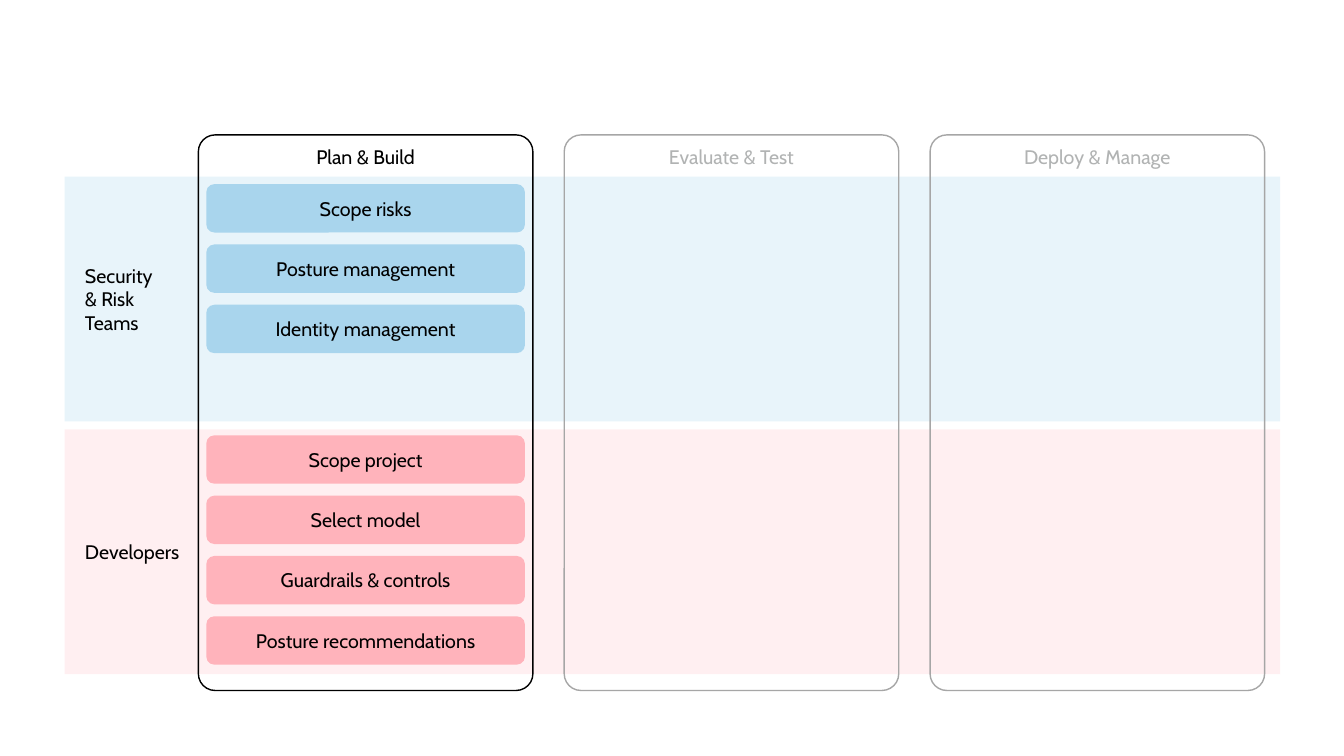
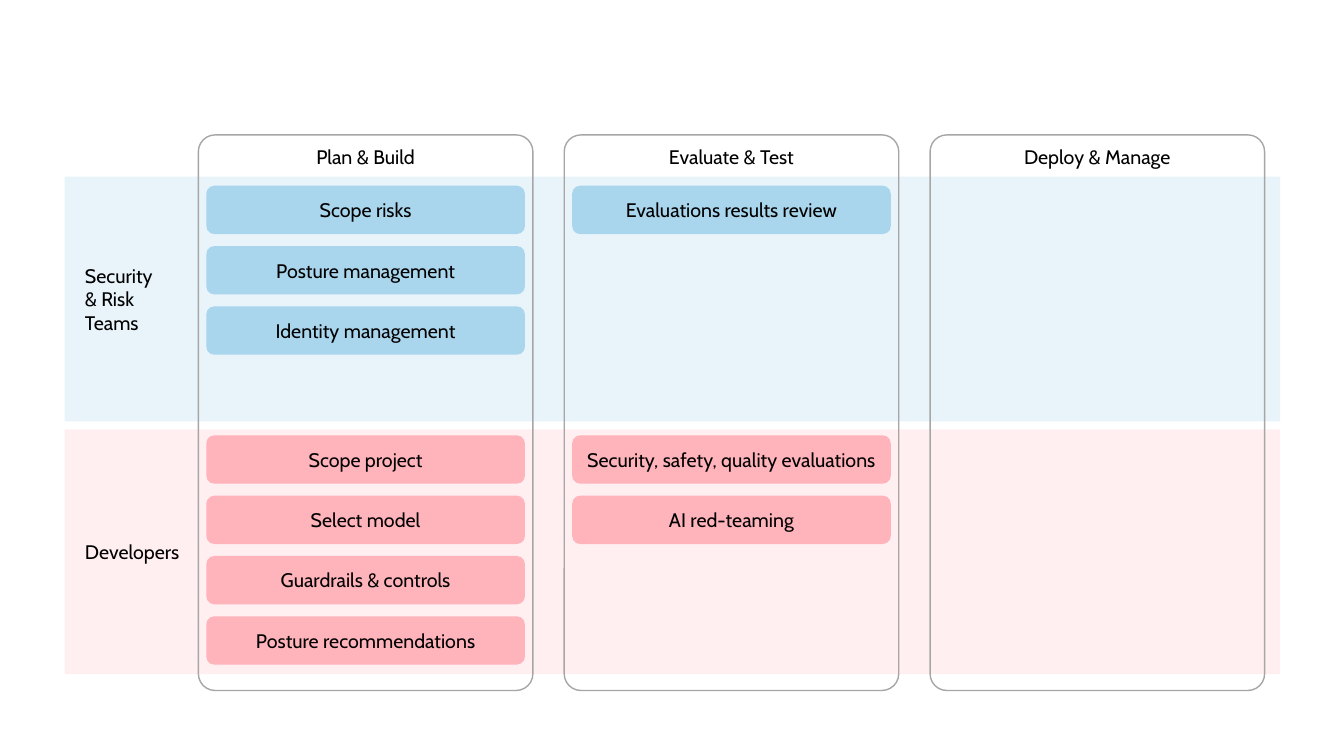
from lxml import etree
from pptx import Presentation
from pptx.dml.color import RGBColor
from pptx.enum.shapes import MSO_SHAPE
from pptx.enum.text import MSO_ANCHOR, MSO_AUTO_SIZE, PP_ALIGN
from pptx.oxml.ns import qn
from pptx.util import Cm, Pt

# Colours
BLACK = RGBColor(0x00, 0x00, 0x00)
OUTLINE_GREY = RGBColor(0xA6, 0xA6, 0xA6)
MUTED_GREY = RGBColor(0xB1, 0xB3, 0xB3)
SECURITY_BAND = RGBColor(0x8D, 0xC8, 0xE8)
SECURITY_CARD = RGBColor(0xA9, 0xD5, 0xED)
DEVELOPER_PINK = RGBColor(0xFF, 0xB3, 0xBB)

# Grid, in centimetres
BAND_LEFT, BAND_WIDTH, BAND_HEIGHT = 1.63, 30.63, 6.17
SECURITY_TOP, DEVELOPER_TOP = 4.45, 10.82
PHASE_LEFT, PHASE_TOP, PHASE_PITCH = 5.0, 3.4, 9.22
PHASE_WIDTH, PHASE_HEIGHT = 8.43, 14.0
CARD_INSET, CARD_HEIGHT, CARD_PITCH = 0.2, 1.22, 1.52
DEVELOPER_CARDS_TOP = 10.97

# Text formats
FONT = {"name": "Cabin", "size": Pt(14), "bold": False}
BAND_FRAME = {
    "margin_left": Cm(0.51), "margin_right": Cm(0.25),
    "vertical_anchor": MSO_ANCHOR.MIDDLE,
}
PHASE_FRAME = {"vertical_anchor": MSO_ANCHOR.TOP}
CARD_FRAME = {
    "margin_left": Cm(0.13), "margin_right": Cm(0.13),
    "vertical_anchor": MSO_ANCHOR.MIDDLE,
}

# Content
PHASES = ["Plan & Build", "Evaluate & Test", "Deploy & Manage"]
SECURITY_TEAM = "Security\n& Risk\nTeams"
DEVELOPER_TEAM = "Developers"
PLAN_SECURITY = ["Scope risks", "Posture management", "Identity management"]
PLAN_DEVELOPER = ["Scope project", "Select model", "Guardrails & controls",
                  "Posture recommendations"]
EVALUATE_SECURITY = ["Evaluations results review"]
EVALUATE_DEVELOPER = ["Security, safety, quality evaluations",
                      "AI red-teaming"]


def apply_format(target, values):
    for attribute, value in values.items():
        setattr(target, attribute, value)


def write_text(shape, text, frame_format, alignment, color=BLACK):
    frame = shape.text_frame
    frame.text = text
    frame.word_wrap = True
    frame.auto_size = MSO_AUTO_SIZE.NONE
    apply_format(frame, frame_format)
    for paragraph in frame.paragraphs:
        paragraph.alignment = alignment
        for run in paragraph.runs:
            apply_format(run.font, FONT)
            run.font.color.rgb = color


def add_box(slide, kind, left, top, width, height):
    box = slide.shapes.add_shape(
        kind, Cm(left), Cm(top), Cm(width), Cm(height))
    box.shadow.inherit = False
    return box


def style_band(band, team, color):
    """Give a team band its 20 % tint and its label."""
    band.fill.solid()
    band.fill.fore_color.rgb = color
    tint = band.fill._xPr.find(qn("a:solidFill"))[0]
    etree.SubElement(tint, qn("a:alpha"), val="20000")
    band.line.fill.background()
    write_text(band, team, BAND_FRAME, PP_ALIGN.LEFT)


def add_bands(slide):
    security = add_box(slide, MSO_SHAPE.RECTANGLE, BAND_LEFT, SECURITY_TOP,
                       BAND_WIDTH, BAND_HEIGHT)
    style_band(security, SECURITY_TEAM, SECURITY_BAND)

    # The title placeholder serves as the developers' band
    developers = slide.shapes.title
    apply_format(developers, {
        "left": Cm(BAND_LEFT), "top": Cm(DEVELOPER_TOP),
        "width": Cm(BAND_WIDTH), "height": Cm(BAND_HEIGHT),
    })
    style_band(developers, DEVELOPER_TEAM, DEVELOPER_PINK)


def phase_left(index):
    return PHASE_LEFT + index * PHASE_PITCH


def add_phase(slide, index, outline_color, text_color):
    phase = add_box(slide, MSO_SHAPE.ROUNDED_RECTANGLE, phase_left(index),
                    PHASE_TOP, PHASE_WIDTH, PHASE_HEIGHT)
    phase.adjustments[0] = 0.05
    phase.fill.background()
    phase.line.color.rgb = outline_color
    phase.line.width = Pt(1)
    write_text(phase, PHASES[index], PHASE_FRAME, PP_ALIGN.CENTER, text_color)


def add_cards(slide, phase_index, top, labels, color):
    for row, label in enumerate(labels):
        card = add_box(slide, MSO_SHAPE.ROUNDED_RECTANGLE,
                       phase_left(phase_index) + CARD_INSET,
                       top + row * CARD_PITCH,
                       PHASE_WIDTH - 2 * CARD_INSET, CARD_HEIGHT)
        card.fill.solid()
        card.fill.fore_color.rgb = color
        card.line.fill.background()
        write_text(card, label, CARD_FRAME, PP_ALIGN.CENTER)


def add_roadmap(deck, phase_colors, security_cards_top, tasks):
    """Draw bands, phases, then each phase's (security, developer) cards."""
    slide = deck.slides.add_slide(deck.slide_layouts.get_by_name("Title Only"))
    add_bands(slide)
    for index, (outline_color, text_color) in enumerate(phase_colors):
        add_phase(slide, index, outline_color, text_color)
    for index, (security, developer) in enumerate(tasks):
        add_cards(slide, index, security_cards_top, security, SECURITY_CARD)
        add_cards(slide, index, DEVELOPER_CARDS_TOP, developer, DEVELOPER_PINK)


def main():
    deck = Presentation()
    deck.slide_width, deck.slide_height = Cm(33.87), Cm(19.05)

    plan = (PLAN_SECURITY, PLAN_DEVELOPER)
    evaluate = (EVALUATE_SECURITY, EVALUATE_DEVELOPER)
    focused, muted = (BLACK, BLACK), (OUTLINE_GREY, MUTED_GREY)
    regular = (OUTLINE_GREY, BLACK)

    # Slide 1: focus on planning
    add_roadmap(deck, [focused, muted, muted], 4.64, [plan])
    # Slide 2: evaluation joins
    add_roadmap(deck, [regular] * len(PHASES), 4.68, [plan, evaluate])

    deck.save("out.pptx")


if __name__ == "__main__":
    main()
